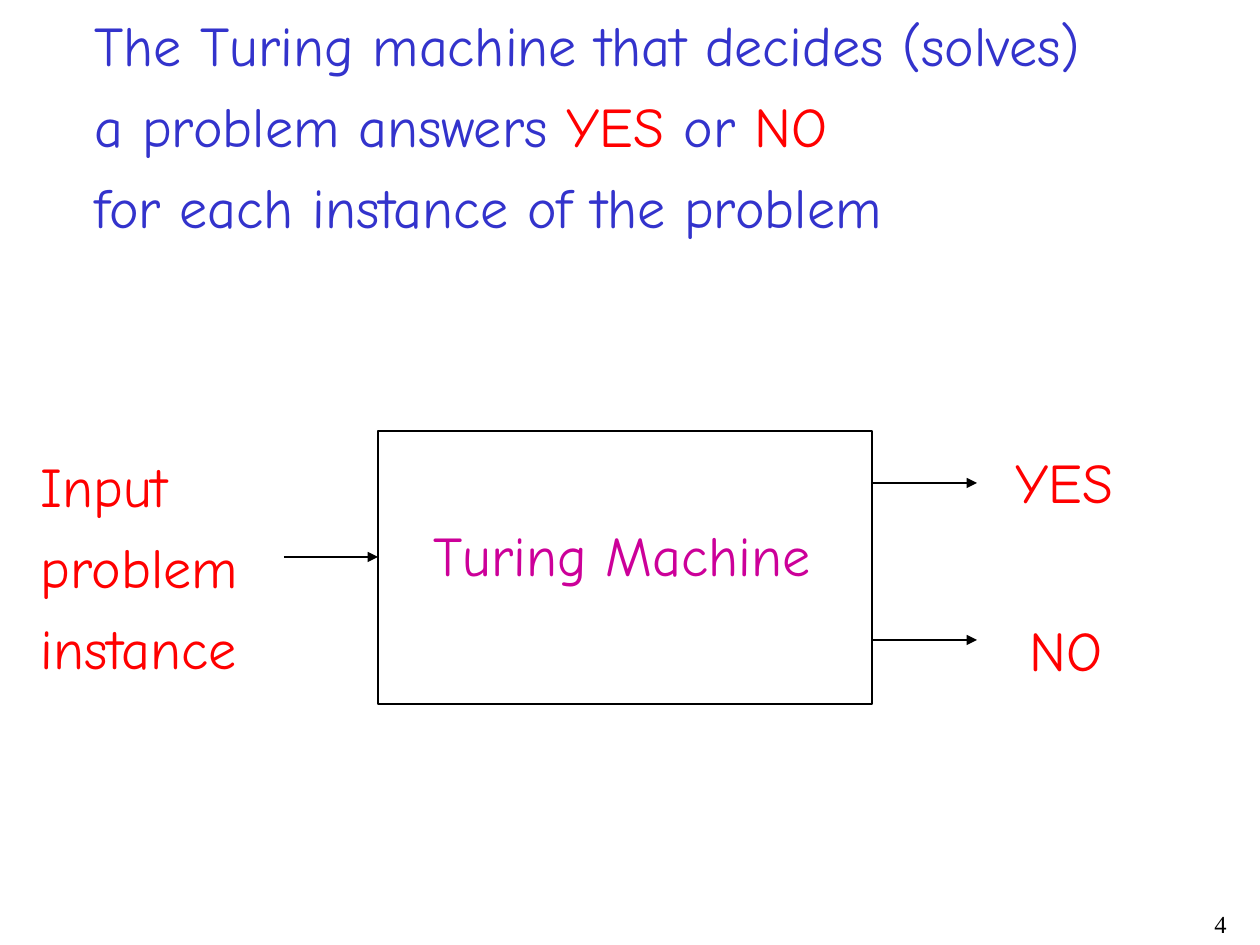
from lxml.etree import SubElement
from pptx import Presentation
from pptx.dml.color import RGBColor
from pptx.enum.shapes import MSO_CONNECTOR as CONNECTOR, MSO_SHAPE as SHAPE
from pptx.enum.text import MSO_ANCHOR as ANCHOR, MSO_AUTO_SIZE as AUTO_SIZE, PP_ALIGN as ALIGN
from pptx.oxml.ns import qn
from pptx.util import Emu, Pt

BLUE = RGBColor(0x33, 0x33, 0xCC)
RED = RGBColor(0xFF, 0x00, 0x00)
MAGENTA = RGBColor(0xCC, 0x00, 0x99)
BLACK = RGBColor(0x00, 0x00, 0x00)
BODY_FONT = {"name": "Comic Neue", "size": Pt(32)}
NUMBER_FONT = {"name": "Times New Roman", "size": Pt(14)}


def px(*lengths):
    """Turn pixels, 126 to the inch, into EMU."""
    return [Emu(length * 914400 // 126) for length in lengths]


def write(shape, lines, font, paragraph_format, wrap=False):
    """Fill a shape with lines, each a list of (text, colour) runs."""
    frame = shape.text_frame
    frame.word_wrap = wrap
    frame.auto_size = AUTO_SIZE.NONE if wrap else AUTO_SIZE.SHAPE_TO_FIT_TEXT
    frame.vertical_anchor = ANCHOR.TOP
    for index, line in enumerate(lines):
        paragraph = frame.add_paragraph() if index else frame.paragraphs[0]
        for name, value in paragraph_format.items():
            setattr(paragraph, name, value)
        for text, colour in line:
            run = paragraph.add_run()
            run.text = text
            run.font.color.rgb = colour
            for name, value in font.items():
                setattr(run.font, name, value)


presentation = Presentation()
presentation.slide_width, presentation.slide_height = px(1260, 945)
slide = presentation.slides.add_slide(presentation.slide_layouts[5])
shapes = slide.shapes
body_format = {"alignment": ALIGN.LEFT, "space_before": Pt(8)}

# Title
title = shapes.title
title.left, title.top, title.width, title.height = px(82, 4, 1031, 243)
title_lines = [
    [("The Turing machine that decides (solves)", BLUE)],
    [("a problem answers ", BLUE), ("YES", RED), (" or ", BLUE), ("NO", RED)],
    [("for each instance of the problem", BLUE)],
]
write(title, title_lines, BODY_FONT, body_format)

# Machine
machine = shapes.add_shape(SHAPE.RECTANGLE, *px(378, 431, 494, 273))
machine.shadow.inherit = False
machine.fill.background()
machine.line.color.rgb = BLACK
machine.line.width = Pt(0.75)

# Input and output arrows
for start, end, y in [(284, 378, 557), (872, 977, 483), (872, 977, 640)]:
    arrow = shapes.add_connector(CONNECTOR.STRAIGHT, *px(start, y, end, y))
    arrow.line.color.rgb = BLACK
    arrow.line.width = Pt(0.75)
    SubElement(arrow.line._get_or_add_ln(), qn("a:tailEnd"), type="triangle")
    SubElement(arrow._element.spPr, qn("a:effectLst"))

# Labels
labels = [
    (["Turing Machine"], MAGENTA, (421, 514, 402, 81)),
    (["Input", "problem", "instance"], RED, (28, 445, 223, 243)),
    (["YES"], RED, (1003, 441, 123, 81)),
    (["NO"], RED, (1017, 609, 98, 81)),
]
for texts, colour, box in labels:
    label = shapes.add_textbox(*px(*box))
    write(label, [[(text, colour)] for text in texts], BODY_FONT, body_format)

# Slide number
number = shapes.add_textbox(*px(977, 903, 262, 42))
write(number, [[("4", BLACK)]], NUMBER_FONT, {"alignment": ALIGN.RIGHT}, wrap=True)

presentation.save("out.pptx")
